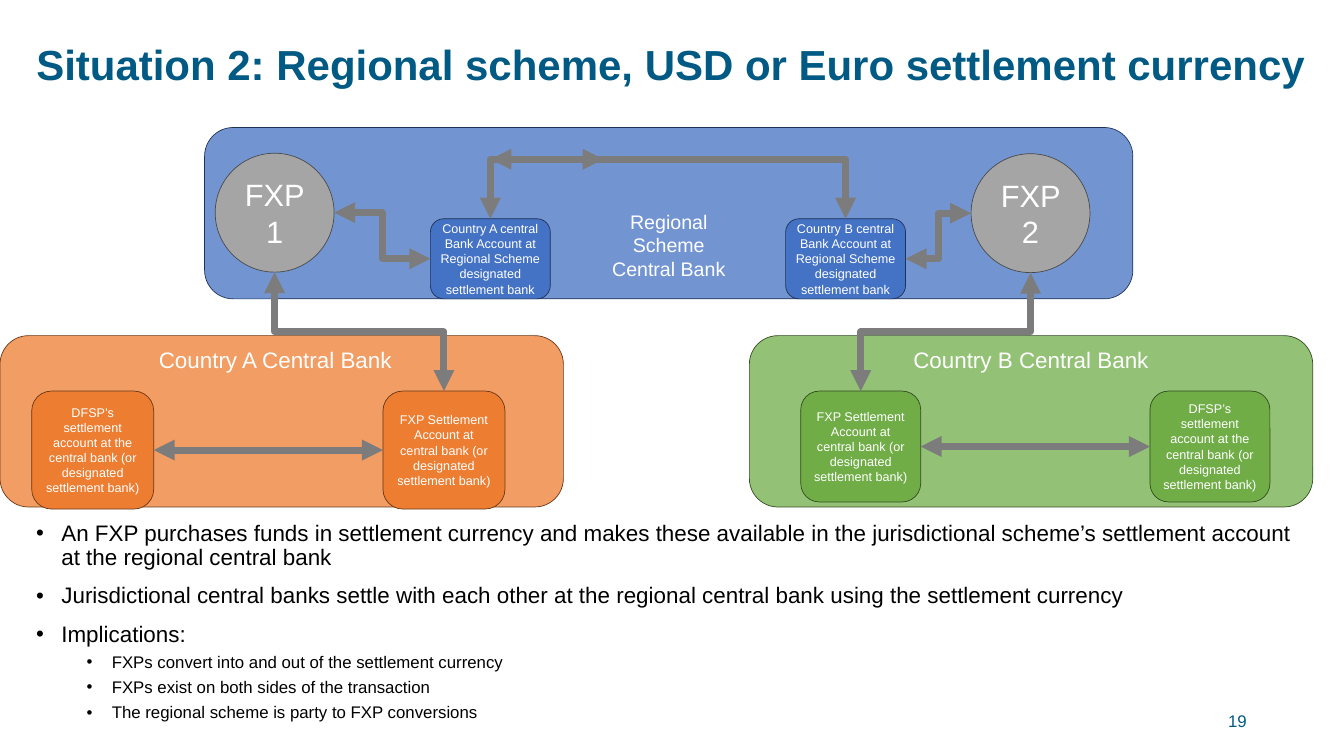
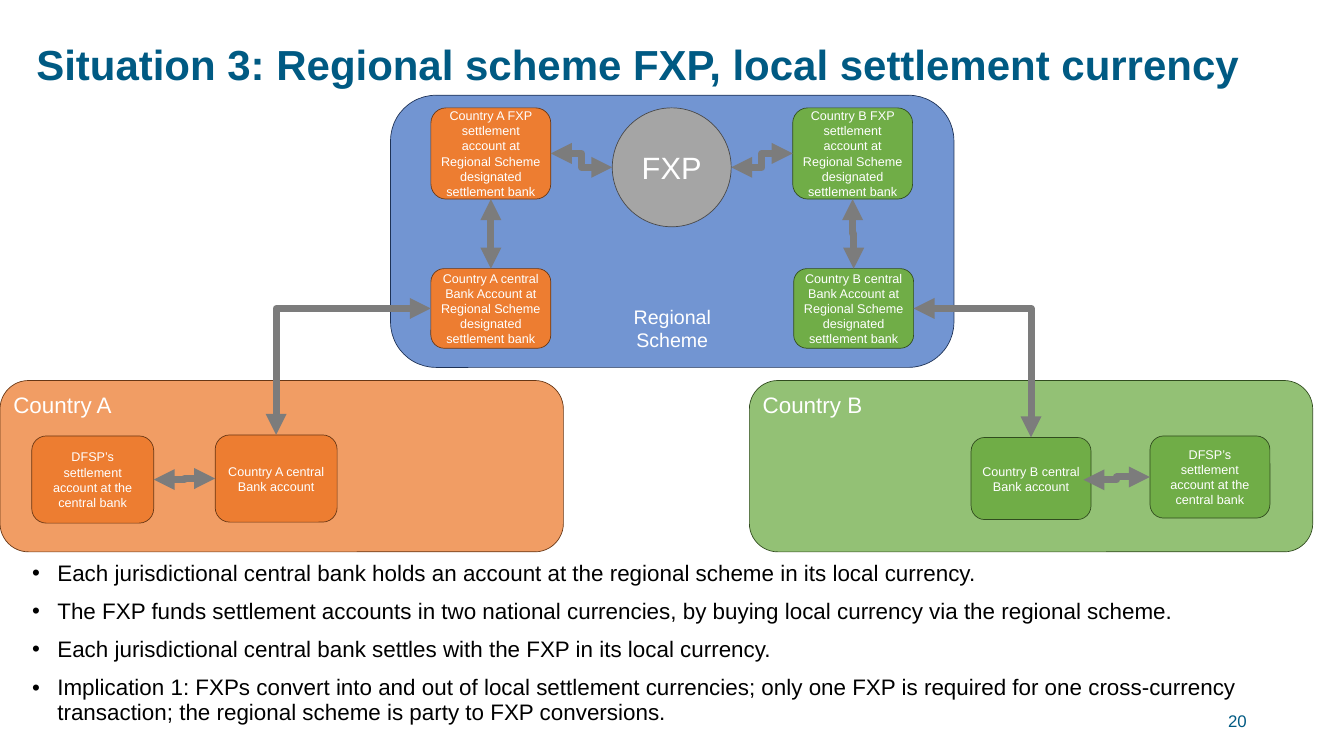
from lxml.etree import SubElement
from pptx import Presentation
from pptx.dml.color import RGBColor
from pptx.enum.shapes import MSO_CONNECTOR, MSO_SHAPE
from pptx.enum.text import MSO_ANCHOR, PP_ALIGN
from pptx.oxml.ns import qn
from pptx.util import Inches, Pt

FONT = "Arial"
TEAL, BLACK, WHITE, ARROW = "005A83", "000000", "FFFFFF", "7C7C7C"
BLUE, ORANGE = ("4472C4", "1E3256"), ("ED7D31", "683715")
GREEN, GREY = ("70AD47", "314C1F"), ("A5A5A5", "484848")
TOP, MIDDLE, BOTTOM = MSO_ANCHOR.TOP, MSO_ANCHOR.MIDDLE, MSO_ANCHOR.BOTTOM
LEFT, CENTER, RIGHT = PP_ALIGN.LEFT, PP_ALIGN.CENTER, PP_ALIGN.RIGHT
RECT_SITES = {"top": 0, "left": 1, "bottom": 2, "right": 3}
OVAL_SITES = {"top": 0, "left": 2, "bottom": 4, "right": 6}
HORIZONTAL = ("left", "right")
LEVELS = [dict(size=32, before=20, margin=0.5), dict(size=24, before=10, margin=1.5)]

FXP_ACCOUNT = "FXP Settlement Account at central bank (or designated settlement bank)"
DFSP_SHORT = "DFSP’s settlement account at the central bank"
DFSP_LONG = DFSP_SHORT + " (or designated settlement bank)"
CENTRAL = "Country {} central Bank Account at Regional Scheme designated settlement bank"
FXP_REGIONAL = "Country {} FXP settlement account at Regional Scheme designated settlement bank"

SLIDES = [
    dict(
        title="Situation 2: Regional scheme, USD or Euro settlement currency",
        number="19",
        panels=[
            (["Regional", "Scheme", "Central Bank"], BLUE, (4.06, 2.53, 18.42, 3.4),
             dict(size=28, anchor=BOTTOM, bottom=0.2)),
            (["Country B Central Bank"], GREEN, (14.87, 6.66, 11.18, 3.4), dict(size=32, anchor=TOP)),
            (["Country A Central Bank"], ORANGE, (0, 6.66, 11.18, 3.4),
             dict(size=32, anchor=TOP, right=0.35)),
        ],
        accounts={
            "dfsp a": (DFSP_LONG, ORANGE, (0.63, 7.76, 2.42, 2.34)),
            "fxp a": (FXP_ACCOUNT, ORANGE, (7.6, 7.76, 2.42, 2.34)),
            "central a": (CENTRAL.format("A"), BLUE, (8.54, 4.34, 2.38, 1.59)),
            "central b": (CENTRAL.format("B"), BLUE, (15.59, 4.34, 2.38, 1.59)),
            "fxp b": (FXP_ACCOUNT, GREEN, (15.89, 7.76, 2.38, 2.2)),
            "dfsp b": (DFSP_LONG, GREEN, (22.82, 7.76, 2.38, 2.2)),
        },
        providers={"FXP 1": (4.27, 3.04), "FXP 2": (19.27, 3.05)},
        links=[
            ("central a", "left", "FXP 1", "right"),
            ("FXP 2", "bottom", "fxp b", "top"),
            ("FXP 1", "bottom", "fxp a", "top"),
            ("dfsp a", "right", "fxp a", "left"),
            ("fxp b", "right", "dfsp b", "left"),
            ("central b", "right", "FXP 2", "left"),
            ((11.98, 3.16), "left", "central a", "top"),
            ((9.73, 3.16), "right", "central b", "top"),
        ],
        body=(0.62, 10.31, 25.43, 4.24),
        bullets=[
            (0, "An FXP purchases funds in settlement currency and makes these available in the "
                "jurisdictional scheme’s settlement account at the regional central bank"),
            (0, "Jurisdictional central banks settle with each other at the regional central bank "
                "using the settlement currency"),
            (0, "Implications:"),
            (1, "FXPs convert into and out of the settlement currency"),
            (1, "FXPs exist on both sides of the transaction"),
            (1, "The regional scheme is party to FXP conversions"),
        ],
    ),
    dict(
        title="Situation 3: Regional scheme FXP, local settlement currency",
        number="20",
        panels=[
            (["Regional", "Scheme"], BLUE, (7.75, 1.89, 11.18, 5.4), dict(size=28, anchor=BOTTOM)),
            (["Country B"], GREEN, (14.87, 7.55, 11.18, 3.4), dict(size=32, anchor=TOP, align=LEFT)),
            (["Country A"], ORANGE, (0, 7.55, 11.18, 3.4), dict(size=32, anchor=TOP, align=LEFT)),
        ],
        accounts={
            "dfsp a": (DFSP_SHORT, ORANGE, (0.63, 8.65, 2.42, 1.73)),
            "bank a": ("Country A central Bank account", ORANGE, (4.27, 8.63, 2.42, 1.73)),
            "central a": (CENTRAL.format("A"), ORANGE, (8.55, 5.33, 2.38, 1.58)),
            "central b": (CENTRAL.format("B"), GREEN, (15.75, 5.33, 2.38, 1.58)),
            "bank b": ("Country B central Bank account", GREEN, (19.27, 8.68, 2.38, 1.63)),
            "dfsp b": (DFSP_SHORT, GREEN, (22.82, 8.65, 2.38, 1.63)),
            "fxp a": (FXP_REGIONAL.format("A"), ORANGE, (8.55, 2.14, 2.38, 1.81)),
            "fxp b": (FXP_REGIONAL.format("B"), GREEN, (15.73, 2.14, 2.38, 1.81)),
        },
        providers={"FXP": (12.15, 2.14)},
        links=[
            ("fxp b", "bottom", "central b", "top"),
            ("central b", "right", "bank b", "top"),
            ("central a", "left", "bank a", "top"),
            ("dfsp a", "right", "bank a", "left"),
            ((21.5, 9.52), "right", "dfsp b", "left"),
            ("fxp a", "right", "FXP", "left"),
            ("fxp a", "bottom", "central a", "top"),
            ("FXP", "right", "fxp b", "left"),
        ],
        body=(0.54, 11.1, 25.43, 3.4),
        bullets=[
            (0, "Each jurisdictional central bank holds an account at the regional scheme in its "
                "local currency."),
            (0, "The FXP funds settlement accounts in two national currencies, by buying local "
                "currency via the regional scheme."),
            (0, "Each jurisdictional central bank settles with the FXP in its local currency."),
            (0, "Implication 1: FXPs convert into and out of local settlement currencies; only one "
                "FXP is required for one cross-currency transaction; the regional scheme is party "
                "to FXP conversions."),
        ],
    ),
]


def rgb(value):
    """Turn a hex string into a colour."""
    return RGBColor.from_string(value)


def inches(values):
    """Convert several lengths at once."""
    return [Inches(v) for v in values]


def write(p, text, size=18, color=WHITE, bold=False, align=CENTER, spacing=None):
    """Put formatted text into a paragraph."""
    p.alignment = align
    if spacing:
        p.line_spacing = spacing
    r = p.add_run()
    r.text = text
    r.font.name, r.font.size, r.font.bold = FONT, Pt(size), bold
    r.font.color.rgb = rgb(color)


def add_node(s, kind, lines, colors, box, anchor=MIDDLE, alpha=None, bottom=0.05, right=0.1, **fmt):
    """Add a filled shape with centred text unless told otherwise."""
    sp = s.shapes.add_shape(kind, *inches(box))
    sp.shadow.inherit = False
    sp.fill.solid()
    sp.fill.fore_color.rgb = rgb(colors[0])
    if alpha:
        SubElement(sp.fill._xPr.find(".//" + qn("a:srgbClr")), qn("a:alpha"), val=str(alpha * 1000))
    sp.line.color.rgb = rgb(colors[1])
    sp.line.width = Pt(1)
    tf = sp.text_frame
    tf.word_wrap = True
    tf.vertical_anchor = anchor
    tf.margin_bottom, tf.margin_right = Inches(bottom), Inches(right)
    for i, line in enumerate(lines):
        write(tf.paragraphs[0] if i == 0 else tf.add_paragraph(), line, **fmt)
    return sp


def side_point(sp, side):
    """Return the middle of one side of a shape."""
    fx, fy = {"top": (0.5, 0), "left": (0, 0.5), "bottom": (0.5, 1), "right": (1, 0.5)}[side]
    return int(sp.left + fx * sp.width), int(sp.top + fy * sp.height)


def add_link(s, nodes, start, start_side, end, end_side):
    """Join two sides with a two-headed elbow; vertical ones run downwards."""
    ends = ((start, start_side), (end, end_side))
    (x1, y1), (x2, y2) = [side_point(nodes[e], side) if e in nodes else inches(e) for e, side in ends]
    upright = start_side not in HORIZONTAL
    if upright:
        cx, cy, half_w, half_h = (x1 + x2) // 2, (y1 + y2) // 2, (y2 - y1) // 2, (x1 - x2) // 2
        x1, y1, x2, y2 = cx - half_w, cy - half_h, cx + half_w, cy + half_h
    c = s.shapes.add_connector(MSO_CONNECTOR.ELBOW, x1, y1, x2, y2)
    spPr = c._element.spPr
    if upright:
        spPr.find(qn("a:xfrm")).set("rot", "5400000")
    elif end_side not in HORIZONTAL:
        spPr.find(qn("a:prstGeom")).set("prst", "bentConnector2")
    for tag, (e, side) in zip(("a:stCxn", "a:endCxn"), ends):
        if e in nodes:
            sites = OVAL_SITES if nodes[e].auto_shape_type == MSO_SHAPE.OVAL else RECT_SITES
            SubElement(c._element.nvCxnSpPr.cNvCxnSpPr, qn(tag),
                       id=str(nodes[e].shape_id), idx=str(sites[side]))
    c.line.color.rgb = rgb(ARROW)
    c.line.width = Pt(10)
    for tag in ("a:headEnd", "a:tailEnd"):
        SubElement(spPr.find(qn("a:ln")), qn(tag), type="triangle")
    SubElement(spPr, qn("a:effectLst"))


def add_textbox(s, box, anchor=TOP):
    """Add a wrapping text box and return its frame."""
    tf = s.shapes.add_textbox(*inches(box)).text_frame
    tf.word_wrap = True
    tf.vertical_anchor = anchor
    return tf


def add_bullets(s, box, bullets):
    """Add the bulleted text below the diagram."""
    tf = add_textbox(s, box)
    for i, (level, text) in enumerate(bullets):
        p = tf.paragraphs[0] if i == 0 else tf.add_paragraph()
        style = LEVELS[level]
        p.level = level
        pPr = p._p.get_or_add_pPr()
        pPr.set("marL", str(Inches(style["margin"])))
        pPr.set("indent", str(-Inches(0.5)))
        SubElement(pPr, qn("a:buFont"), typeface=FONT)
        SubElement(pPr, qn("a:buChar"), char="•")
        if i:
            p.space_before = Pt(style["before"])
        write(p, text, size=style["size"], color=BLACK, align=LEFT, spacing=0.9)


def add_title(s, text):
    """Place and format the title placeholder."""
    title = s.shapes.title
    title.left, title.top, title.width, title.height = inches((0.62, 0.51, 25.43, 1.63))
    tf = title.text_frame
    tf.word_wrap = True
    tf.vertical_anchor = MIDDLE
    write(tf.paragraphs[0], text, size=60, color=TEAL, bold=True, align=LEFT, spacing=0.9)


def build_slide(prs, data):
    """Build one settlement diagram with its title, bullets and number."""
    s = prs.slides.add_slide(prs.slide_layouts[5])
    add_title(s, data["title"])
    add_bullets(s, data["body"], data["bullets"])
    number = add_textbox(s, (18.84, 13.9, 6, 0.8), anchor=MIDDLE)
    write(number.paragraphs[0], data["number"], size=24, color=TEAL, align=RIGHT)
    for lines, colors, box, fmt in data["panels"]:
        add_node(s, MSO_SHAPE.ROUNDED_RECTANGLE, lines, colors, box, alpha=75, **fmt)
    nodes = {}
    for name, (text, colors, box) in data["accounts"].items():
        nodes[name] = add_node(s, MSO_SHAPE.ROUNDED_RECTANGLE, [text], colors, box)
    for name, corner in data["providers"].items():
        nodes[name] = add_node(s, MSO_SHAPE.OVAL, [name], GREY, (*corner, 2.36, 2.36), size=44)
    for link in data["links"]:
        add_link(s, nodes, *link)


def main():
    """Build the deck."""
    prs = Presentation()
    prs.slide_width, prs.slide_height = Inches(26.67), Inches(15)
    for data in SLIDES:
        build_slide(prs, data)
    prs.save("out.pptx")


if __name__ == "__main__":
    main()
